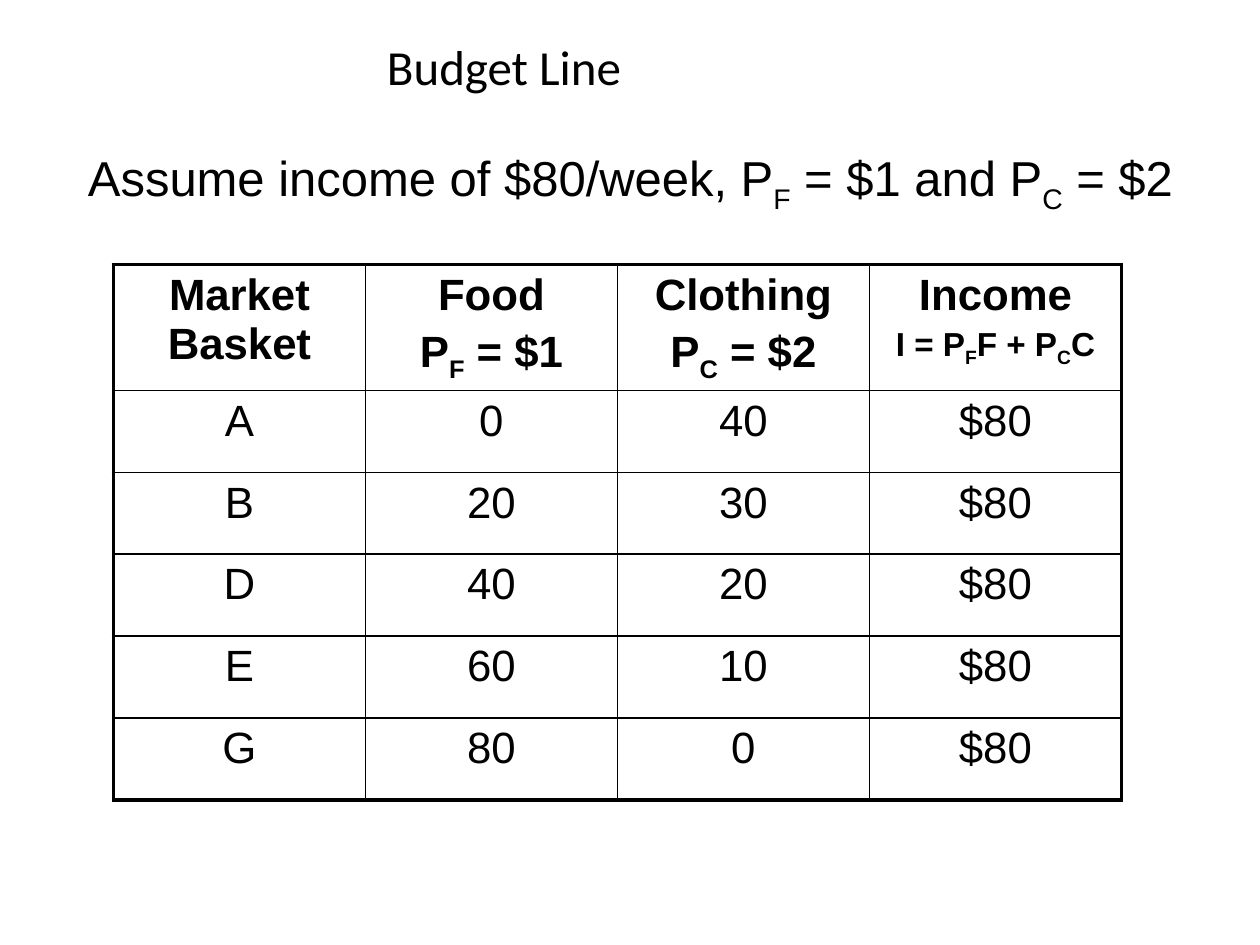
from dataclasses import dataclass

from lxml.etree import SubElement
from pptx import Presentation
from pptx.dml.color import RGBColor
from pptx.enum.text import MSO_ANCHOR as Anchor, MSO_AUTO_SIZE as AutoSize, PP_ALIGN as Align
from pptx.oxml.ns import qn
from pptx.util import Emu, Inches, Pt

COLORS = {"ink": "000000", "paper": "FFFFFF"}
INNER_LINE, OUTER_LINE = Pt(1), Pt(2.25)
COLUMN_WIDTH = Inches(2)
HEADER_HEIGHT, BODY_HEIGHT = Inches(0.75), Inches(0.65)


@dataclass(frozen=True)
class TextStyle:
    size: float
    name: str = "Arial"
    bold: bool = False


@dataclass(frozen=True)
class Line:
    text: str
    style: TextStyle


@dataclass(frozen=True)
class Frame:
    """Place and size as shares of the slide."""
    left: float
    top: float
    width: float
    height: float

    def place(self, presentation) -> dict:
        across, down = presentation.slide_width, presentation.slide_height
        return {
            "left": Emu(round(self.left * across)),
            "top": Emu(round(self.top * down)),
            "width": Emu(round(self.width * across)),
            "height": Emu(round(self.height * down)),
        }


TITLE = TextStyle(28, "Calibri")
ASSUMPTION = TextStyle(28)
HEADING = TextStyle(25, bold=True)
FORMULA = TextStyle(19, bold=True)
BODY = TextStyle(25)

TITLE_FRAME = Frame(0, 0, 0.8, 0.14)
ASSUMPTION_FRAME = Frame(0.01, 0.15, 0.95, 0.08)
TABLE_FRAME = Frame(0.09, 0.28, 0.8, 0.53)

HEADINGS = [
    [Line("Market Basket", HEADING)],
    [Line("Food", HEADING), Line("P_F = $1", HEADING)],
    [Line("Clothing", HEADING), Line("P_C = $2", HEADING)],
    [Line("Income", HEADING), Line("I = P_FF + P_CC", FORMULA)],
]
BASKETS = [("A", 0, 40), ("B", 20, 30), ("D", 40, 20), ("E", 60, 10), ("G", 80, 0)]


def apply(target, values: dict) -> None:
    for name, value in values.items():
        setattr(target, name, value)


def add_run(paragraph, text: str, style: TextStyle, subscript: bool = False) -> None:
    run = paragraph.add_run()
    run.text = text
    apply(run.font, {"size": Pt(style.size), "name": style.name, "bold": style.bold})
    run.font.color.rgb = RGBColor.from_string(COLORS["ink"])
    if subscript:
        run._r.get_or_add_rPr().set("baseline", "-25000")


def write_line(paragraph, line: Line, align: Align) -> None:
    """Write a line in which the letter after each underscore is a subscript."""
    paragraph.alignment = align
    first, *rest = line.text.split("_")
    add_run(paragraph, first, line.style)
    for part in rest:
        add_run(paragraph, part[0], line.style, subscript=True)
        add_run(paragraph, part[1:], line.style)


def write_cell(cell, lines: list[Line]) -> None:
    cell.fill.background()
    frame = cell.text_frame
    for index, line in enumerate(lines):
        paragraph = frame.add_paragraph() if index else frame.paragraphs[0]
        if index:
            paragraph.space_before = Pt(line.style.size / 5)
        write_line(paragraph, line, Align.CENTER)


def set_borders(cell, outer_sides: dict[str, bool]) -> None:
    properties = cell._tc.get_or_add_tcPr()
    for index, (side, is_outer) in enumerate(outer_sides.items()):
        width = OUTER_LINE if is_outer else INNER_LINE
        border = SubElement(properties, qn(f"a:ln{side}"), w=str(int(width)))
        fill = SubElement(border, qn("a:solidFill"))
        SubElement(fill, qn("a:srgbClr"), val=COLORS["ink"])
        properties.insert(index, border)


def add_basket_table(slide, presentation) -> None:
    rows = [HEADINGS] + [
        [[Line(str(value), BODY)] for value in (*basket, "$80")] for basket in BASKETS
    ]
    last_row, last_column = len(rows) - 1, len(HEADINGS) - 1
    place = TABLE_FRAME.place(presentation)
    table = slide.shapes.add_table(len(rows), len(HEADINGS), **place).table
    apply(table, {"first_row": False, "horz_banding": False})
    for column in table.columns:
        column.width = COLUMN_WIDTH
    for row_index, row in enumerate(rows):
        table.rows[row_index].height = BODY_HEIGHT if row_index else HEADER_HEIGHT
        for column_index, lines in enumerate(row):
            cell = table.cell(row_index, column_index)
            write_cell(cell, lines)
            set_borders(cell, {
                "L": column_index == 0,
                "R": column_index == last_column,
                "T": row_index == 0,
                "B": row_index == last_row,
            })


def add_title(slide, presentation) -> None:
    title = slide.shapes.title
    apply(title, TITLE_FRAME.place(presentation))
    apply(title.text_frame, {"vertical_anchor": Anchor.MIDDLE, "word_wrap": True})
    write_line(title.text_frame.paragraphs[0], Line("Budget Line", TITLE), Align.CENTER)


def add_assumption(slide, presentation) -> None:
    box = slide.shapes.add_textbox(**ASSUMPTION_FRAME.place(presentation))
    apply(box.text_frame, {"word_wrap": True, "auto_size": AutoSize.SHAPE_TO_FIT_TEXT})
    paragraph = box.text_frame.paragraphs[0]
    paragraph.level = 1
    for name, length in {"marL": Inches(0.5), "indent": 0}.items():
        paragraph._p.get_or_add_pPr().set(name, str(int(length)))
    text = "Assume income of $80/week, P_F = $1 and P_C = $2"
    write_line(paragraph, Line(text, ASSUMPTION), Align.LEFT)


def main() -> None:
    presentation = Presentation()
    apply(presentation, {"slide_width": Inches(10), "slide_height": Inches(7.5)})
    slide = presentation.slides.add_slide(presentation.slide_layouts.get_by_name("Title Only"))
    slide.background.fill.solid()
    slide.background.fill.fore_color.rgb = RGBColor.from_string(COLORS["paper"])
    add_title(slide, presentation)
    add_basket_table(slide, presentation)
    add_assumption(slide, presentation)
    presentation.save("out.pptx")


if __name__ == "__main__":
    main()
